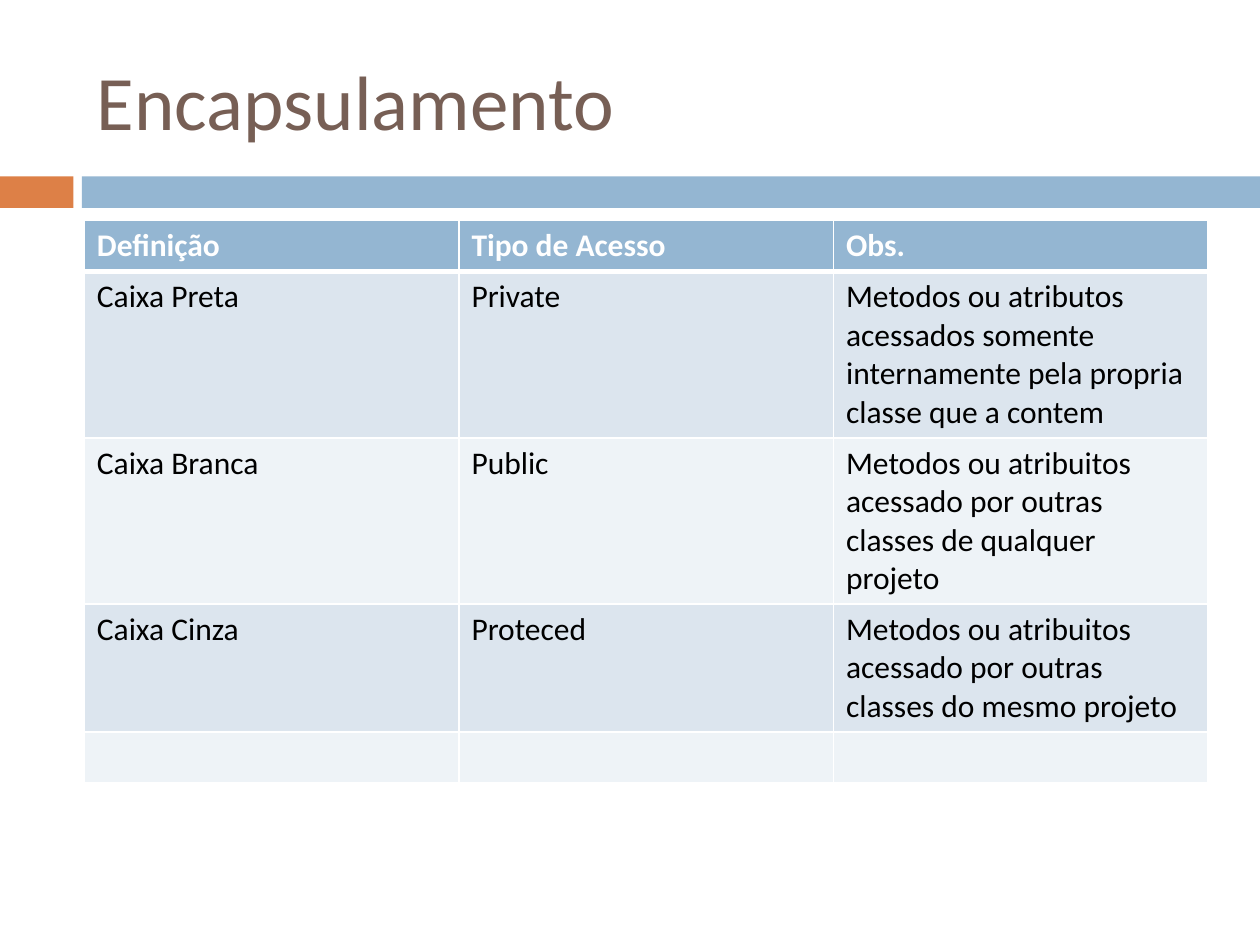
from dataclasses import dataclass

import pptx
import pptx.dml.color
import pptx.enum.shapes
import pptx.enum.text
import pptx.oxml
import pptx.oxml.ns
import pptx.util

Pt = pptx.util.Pt


@dataclass(frozen=True)
class Theme:
    font: str = "Calibri"
    title_size: int = 44
    body_size: int = 18
    title: str = "775F55"
    accent: str = "DD8047"
    header: str = "94B6D2"
    bands: tuple = ("DCE5EE", "EEF3F7")
    text: str = "000000"
    white: str = "FFFFFF"


THEME = Theme()

HEADINGS = ("Definição", "Tipo de Acesso", "Obs.")
ACCESS_TYPES = (
    ("Caixa Preta", "Private",
     "Metodos ou atributos acessados somente internamente pela propria classe que a contem"),
    ("Caixa Branca", "Public",
     "Metodos ou atribuitos acessado por outras classes de qualquer projeto"),
    ("Caixa Cinza", "Proteced",
     "Metodos ou atribuitos acessado por outras classes do mesmo projeto"),
    ("", "", ""),
)
ROW_HEIGHTS = (29.2, 95, 95, 73, 29.2)


def rgb(color):
    return pptx.dml.color.RGBColor.from_string(color)


def format_runs(text_frame, size, color, bold=False):
    for paragraph in text_frame.paragraphs:
        for run in paragraph.runs:
            run.font.name = THEME.font
            run.font.size = Pt(size)
            run.font.bold = bold
            run.font.color.rgb = rgb(color)


def add_title(slide, text, left, top, width, height):
    shape = slide.shapes.add_textbox(Pt(left), Pt(top), Pt(width), Pt(height))
    text_frame = shape.text_frame
    text_frame.word_wrap = True
    text_frame.vertical_anchor = pptx.enum.text.MSO_ANCHOR.MIDDLE
    text_frame.text = text
    format_runs(text_frame, THEME.title_size, THEME.title)


def add_divider(slide, left, top, width, height):
    """Draw a short accent block and a long bar, parted by a narrow gap."""
    accent_width, gap = 42, 4.8
    bar_offset = accent_width + gap
    for offset, part_width, color in (
        (0, accent_width, THEME.accent),
        (bar_offset, width - bar_offset, THEME.header),
    ):
        shape = slide.shapes.add_shape(
            pptx.enum.shapes.MSO_SHAPE.RECTANGLE,
            Pt(left + offset), Pt(top), Pt(part_width), Pt(height))
        shape.shadow.inherit = False
        shape.fill.solid()
        shape.fill.fore_color.rgb = rgb(color)
        shape.line.fill.background()


def set_borders(cell, **widths):
    """Add white borders; they must precede the cell's fill in the XML."""
    properties = cell._tc.get_or_add_tcPr()
    for index, (side, width) in enumerate(widths.items()):
        border = pptx.oxml.parse_xml(
            f'<a:ln{side} {pptx.oxml.ns.nsdecls("a")} w="{Pt(width)}">'
            f'<a:solidFill><a:srgbClr val="{THEME.white}"/></a:solidFill></a:ln{side}>')
        properties.insert(index, border)


def add_access_table(slide, left, top, width):
    rows = (HEADINGS, *ACCESS_TYPES)
    table = slide.shapes.add_table(
        len(rows), len(HEADINGS), Pt(left), Pt(top), Pt(width), Pt(sum(ROW_HEIGHTS))).table
    for column in table.columns:
        column.width = Pt(width / len(HEADINGS))
    for row_index, values in enumerate(rows):
        table.rows[row_index].height = Pt(ROW_HEIGHTS[row_index])
        is_header = row_index == 0
        fill = THEME.header if is_header else THEME.bands[(row_index - 1) % 2]
        color = THEME.white if is_header else THEME.text
        for column_index, value in enumerate(values):
            cell = table.cell(row_index, column_index)
            cell.fill.solid()
            cell.fill.fore_color.rgb = rgb(fill)
            set_borders(cell, L=1, R=1, T=3 if row_index == 1 else 1, B=3 if is_header else 1)
            cell.text_frame.text = value
            format_runs(cell.text_frame, THEME.body_size, color, bold=is_header)


def main():
    presentation = pptx.Presentation()
    presentation.slide_width = Pt(720)
    presentation.slide_height = Pt(540)
    slide = presentation.slides.add_slide(presentation.slide_layouts[6])
    content_left, content_width = 48.2, 642.2
    add_divider(slide, 0, 100.8, 720, 18)
    add_title(slide, "Encapsulamento", content_left, 18, content_width, 78)
    add_access_table(slide, content_left, 126, content_width)
    presentation.save("out.pptx")


if __name__ == "__main__":
    main()
